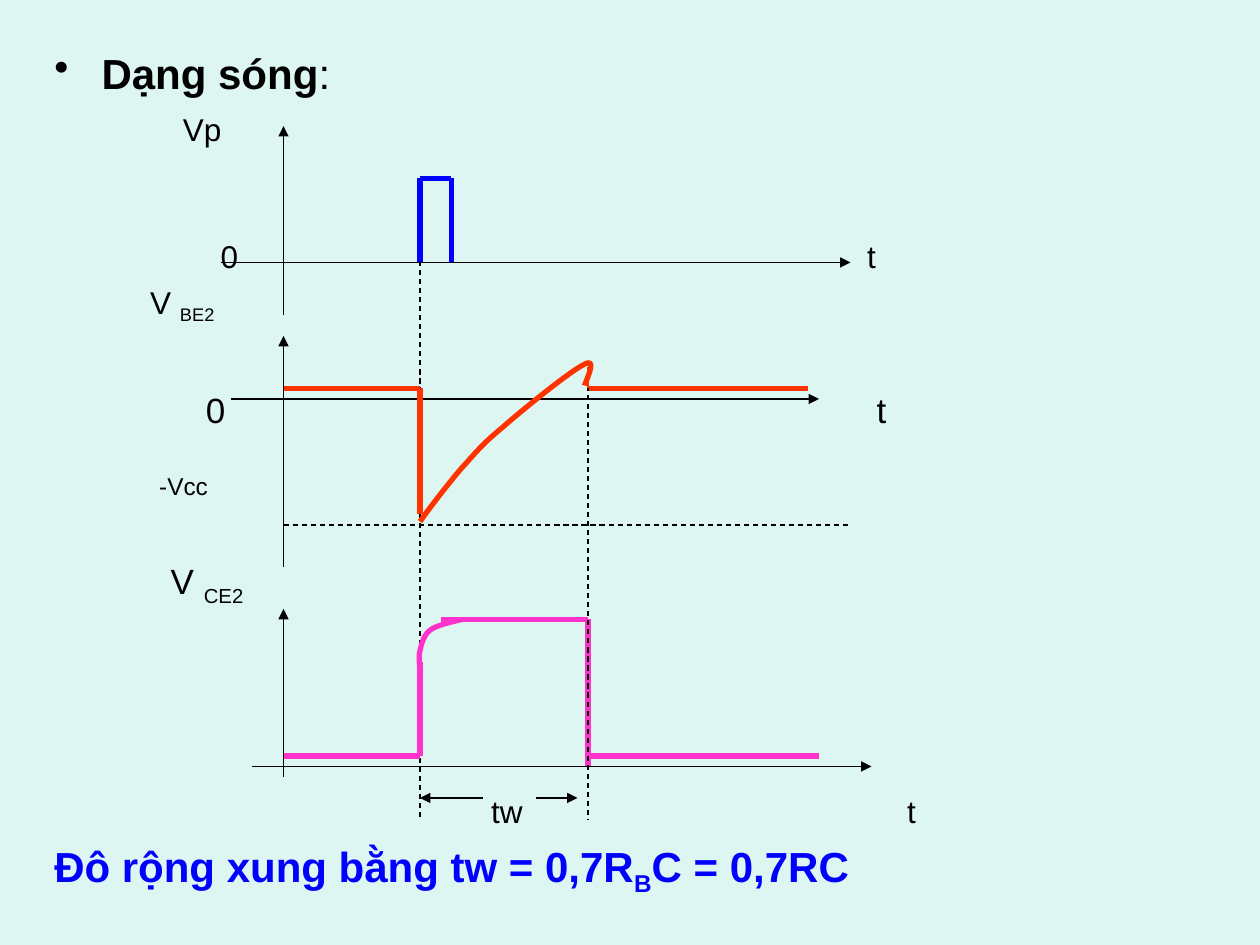
from dataclasses import dataclass
from typing import Any

from lxml import etree
from pptx import Presentation
from pptx.dml.color import RGBColor
from pptx.enum import dml, shapes, text
from pptx.oxml import ns
from pptx.util import Pt

INK = {
    "back": "DEF6F1",
    "black": "000000",
    "blue": "0000FF",
    "red": "FF3300",
    "pink": "FF33CC",
}


@dataclass
class Pen:
    slide: Any
    font: str = "Arial"
    thin: float = 0.75
    thick: float = 3

    def tint(self, name):
        return RGBColor.from_string(INK[name])

    def back(self, name):
        fill = self.slide.background.fill
        fill.solid()
        fill.fore_color.rgb = self.tint(name)

    def line(self, x1, y1, x2, y2, ink="black", width=None, dash=False, arrow=False):
        link = self.slide.shapes.add_connector(
            shapes.MSO_CONNECTOR.STRAIGHT, Pt(x1), Pt(y1), Pt(x2), Pt(y2))
        link.line.color.rgb = self.tint(ink)
        link.line.width = Pt(width or self.thin)
        if dash:
            link.line.dash_style = dml.MSO_LINE.DASH
        if arrow:
            tip = etree.SubElement(link.line._get_or_add_ln(), ns.qn("a:tailEnd"))
            tip.set("type", "triangle")
        etree.SubElement(link._element.spPr, ns.qn("a:effectLst"))

    def wave(self, ink, *lines):
        for ends in lines:
            self.line(*ends, ink, self.thick)

    def curve(self, ink, knots, steps=16):
        dots = []
        for i in range(0, len(knots) - 1, 3):
            a, b, c, d = knots[i:i + 4]
            for n in range(1, steps + 1):
                t = n / steps
                s = 1 - t
                dots.append(tuple(
                    Pt(s**3 * p + 3 * s * s * t * q + 3 * s * t * t * r + t**3 * e)
                    for p, q, r, e in zip(a, b, c, d)))
        x, y = knots[0]
        maker = self.slide.shapes.build_freeform(Pt(x), Pt(y))
        maker.add_line_segments(dots, close=False)
        shape = maker.convert_to_shape()
        shape.shadow.inherit = False
        shape.fill.background()
        shape.line.color.rgb = self.tint(ink)
        shape.line.width = Pt(self.thick)

    def label(self, x, base, size, *parts, ink="black", width=70, bullet=False):
        box = self.slide.shapes.add_textbox(
            Pt(x), Pt(base - 0.9 * size), Pt(width), Pt(1.15 * size))
        frame = box.text_frame
        frame.word_wrap = True
        frame.vertical_anchor = text.MSO_ANCHOR.TOP
        frame.margin_left = frame.margin_right = 0
        frame.margin_top = frame.margin_bottom = 0
        para = frame.paragraphs[0]
        if bullet:
            props = para._p.get_or_add_pPr()
            props.set("marL", str(Pt(27)))
            props.set("indent", str(Pt(-27)))
            etree.SubElement(props, ns.qn("a:buChar")).set("char", "•")
        for words, bold, sub in parts:
            run = para.add_run()
            run.text = words
            run.font.name = self.font
            run.font.size = Pt(size)
            run.font.bold = bold
            run.font.color.rgb = self.tint(ink)
            if sub:
                run.font._element.set("baseline", "-25000")


def main():
    deck = Presentation()
    deck.slide_width, deck.slide_height = Pt(720), Pt(540)
    pen = Pen(deck.slides.add_slide(deck.slide_layouts[6]))
    pen.back("back")
    left, start, stop = 162, 240, 336

    pen.label(31, 48.6, 24, ("Dạng sóng", True, False), (":", False, False),
              width=600, bullet=True)
    for x, base, size, words in [
        (104.5, 78.9, 18, "Vp"), (126, 151.5, 18, "0"), (495.5, 151.5, 18, "t"),
        (117.7, 240, 20, "0"), (501, 240, 20, "t"),
        (280.6, 468.6, 18, "tw"), (518.3, 468.6, 18, "t"),
    ]:
        pen.label(x, base, size, (words, False, False))
    for x, base, size, name in [(85.8, 177.7, 18, "BE2"), (97.5, 337.7, 20, "CE2")]:
        pen.label(x, base, size, ("V ", False, False), (name, False, True))
    pen.label(91, 274.6, 24, ("-Vcc", False, True))
    pen.label(31, 501.7, 24, ("Đô rộng xung bằng tw = 0,7R", True, False),
              ("B", True, True), ("C = 0,7RC", True, False), ink="blue", width=600)

    for low, high, zero, x1, x2 in [
        (180, 72, 150, 126, 486), (324, 192, 228, 132, 468), (444, 348, 438, 144, 498),
    ]:
        pen.line(left, low, left, high, arrow=True)
        pen.line(x1, zero, x2, zero, arrow=True)

    pen.line(start, 144, start, 468, dash=True)
    pen.line(left, 300, 486, 300, dash=True)

    pen.wave("blue", (start, 150, start, 102), (start, 102, 258, 102),
             (258, 102, 258, 150))

    pen.wave("red", (left, 222, start, 222), (start, 222, start, 294),
             (stop, 222, 462, 222))
    pen.curve("red", [
        (240, 298), (247.7, 287.3), (255.6, 277.2), (263.5, 267.8),
        (271.4, 259.2), (275, 254.2), (287.3, 244.1),
        (298.8, 234), (326.2, 211.7), (334.1, 208.1),
        (342, 203.8), (334.1, 218.9), (334.1, 220.3)])

    pen.wave("pink", (left, 432, start, 432), (start, 432, start, 378),
             (252, 354, stop, 354), (stop, 354, stop, 438), (stop, 432, 468, 432))
    pen.curve("pink", [
        (240, 384), (240, 380), (239, 376), (240, 372),
        (241, 368), (242, 363), (246, 360),
        (250, 357), (260.5, 355), (264, 354)])

    pen.line(stop, 210, stop, 468, dash=True)
    pen.line(stop, 210, stop, 222, "red")
    pen.line(276, 456, start, 456, arrow=True)
    pen.line(306, 456, 330, 456, arrow=True)

    deck.save("out.pptx")


if __name__ == "__main__":
    main()
